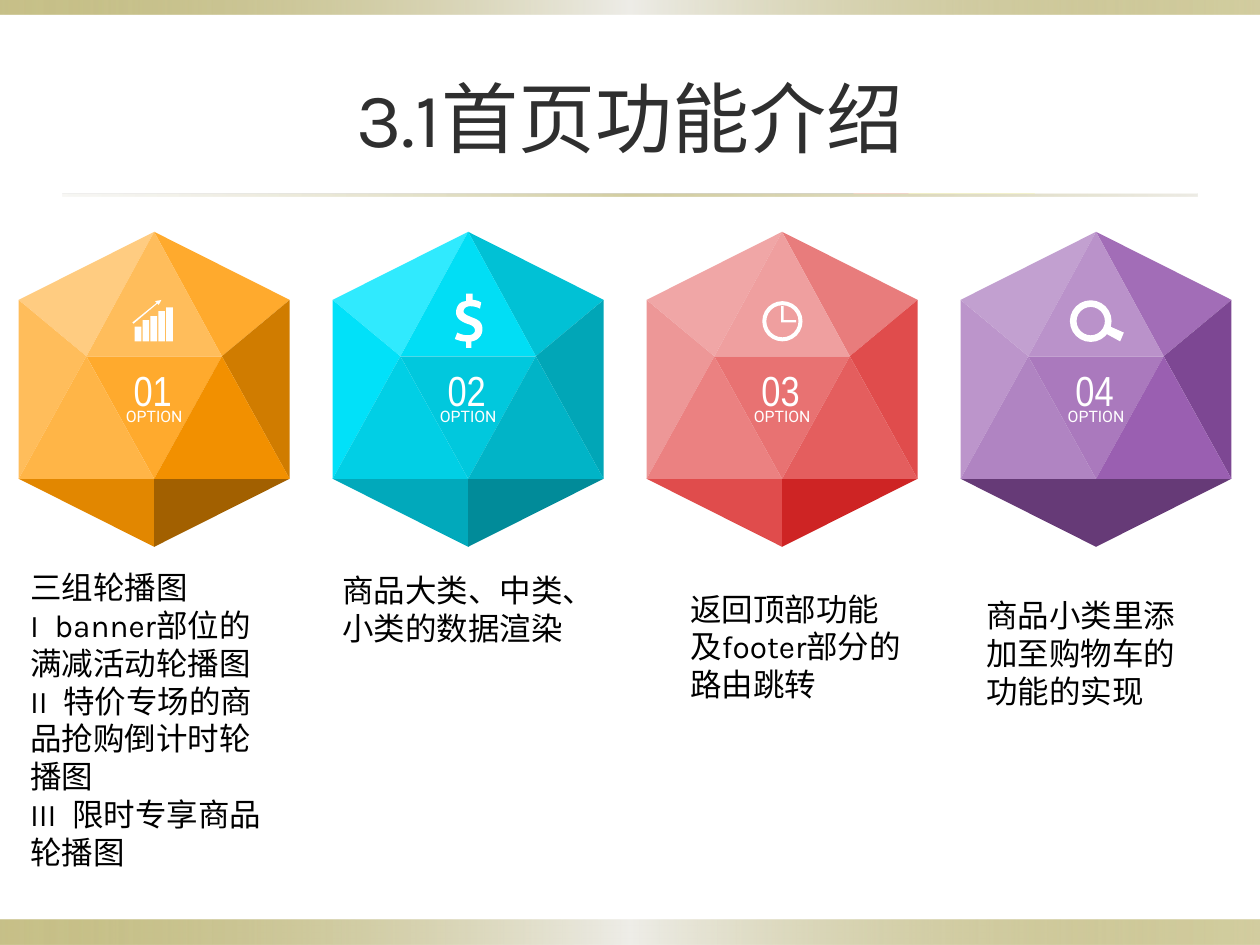
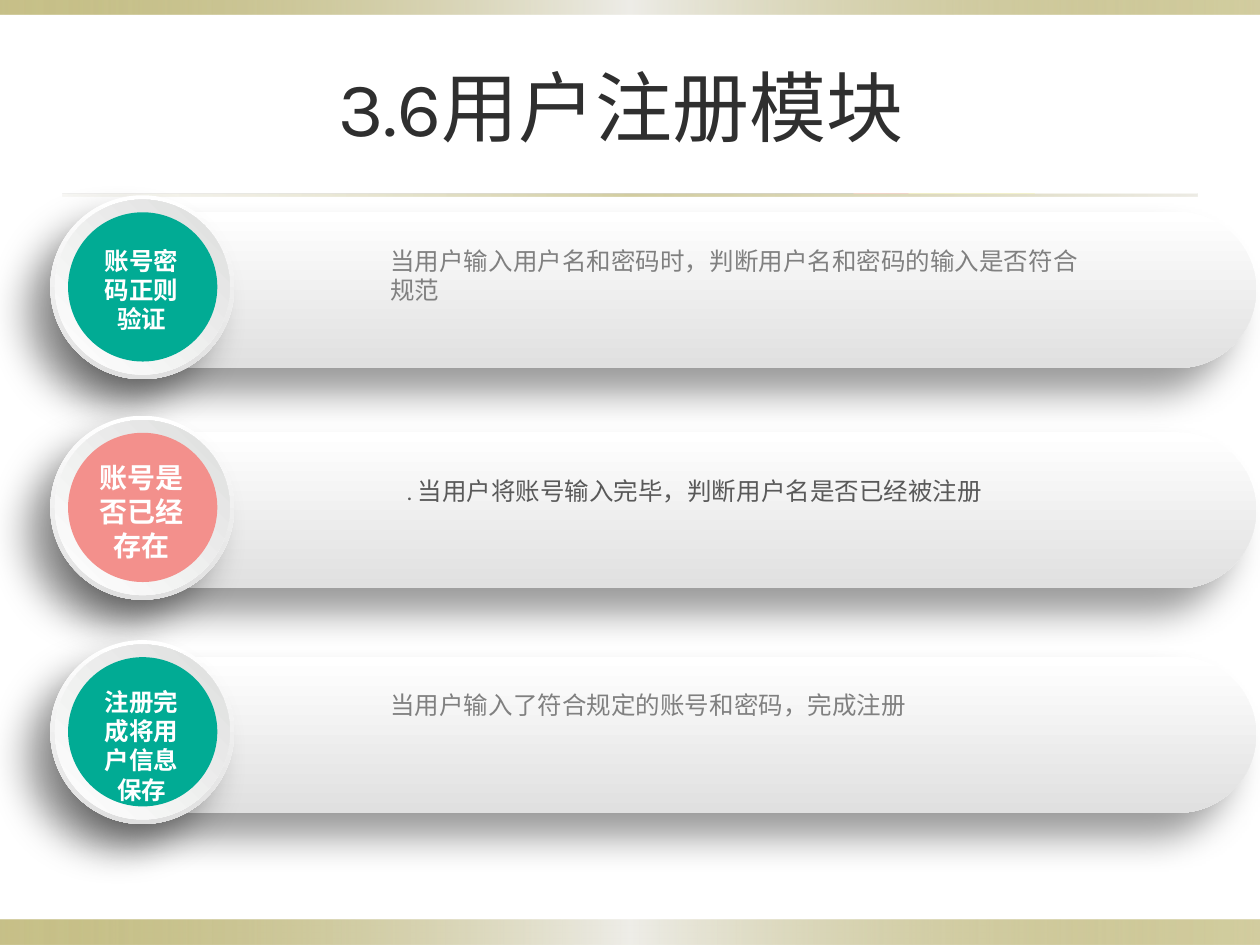
"""Build two slides: home page features and the sign-up module."""
import pptx
import pptx.dml.color
import pptx.enum.shapes
import pptx.enum.text
import pptx.oxml.ns
import pptx.util
from lxml import etree

Pt = pptx.util.Pt
qn = pptx.oxml.ns.qn
Kind = pptx.enum.shapes.MSO_SHAPE
Align = pptx.enum.text.PP_ALIGN
Anchor = pptx.enum.text.MSO_ANCHOR
Fit = pptx.enum.text.MSO_AUTO_SIZE

HUES = {
    "white": "FFFFFF", "black": "000000", "title": "2F2F2F",
    "olive": "918415", "pale": "EEEDE8", "sand": "DCD9CC",
    "silver": "E0E0E0", "steel": "DDDEDD", "grey": "808080",
    "dark": "595959", "teal": "01AB94", "coral": "F3908C",
}
BAND = [(0, "olive", 50), (50, "pale", 100), (100, "olive", 40)]
RULE = [(0, "sand", 20), (50, "olive", 40), (100, "sand", 50)]
SHEEN = [(0, "white", 100), (100, "silver", 100)]
DISC = [(0, "white", 100), (100, "steel", 100)]


def rgb(hue):
    """Turn a colour name or a hex string into a colour."""
    return pptx.dml.color.RGBColor.from_string(HUES.get(hue, hue))


def write(frame, text, size=18, font="Karla", hue="black", bold=False,
          align=Align.LEFT, anchor=Anchor.TOP):
    """Fill a text frame, one paragraph for each line of text."""
    frame.word_wrap = True
    frame.vertical_anchor = anchor
    for i, line in enumerate(text.split("\n")):
        para = frame.add_paragraph() if i else frame.paragraphs[0]
        para.alignment = align
        para.line_spacing = Pt(size * 1.2)
        run = para.add_run()
        run.text = line
        run.font.size = Pt(size)
        run.font.name = font
        run.font.bold = bold
        run.font.color.rgb = rgb(hue)
        east = etree.Element(qn("a:ea"), typeface="Noto Sans CJK SC")
        run.font._element.find(qn("a:latin")).addnext(east)


def bend(start, curve, steps=8):
    """List the points along a cubic curve."""
    x0, y0 = start
    x1, y1, x2, y2, x3, y3 = curve
    spots = []
    for i in range(1, steps + 1):
        t = i / steps
        u = 1 - t
        a, b, c, d = u ** 3, 3 * u * u * t, 3 * u * t * t, t ** 3
        spots.append((a * x0 + b * x1 + c * x2 + d * x3,
                      a * y0 + b * y1 + c * y2 + d * y3))
    return spots


class Deck:
    """Hold the style and the current slide."""

    def __init__(self):
        """Start an empty deck."""
        self.show = pptx.Presentation()
        self.show.slide_width = Pt(720)
        self.show.slide_height = Pt(540)
        self.slide = None

    def page(self, title, x, y):
        """Add a slide with its bands, rule and title."""
        self.slide = self.show.slides.add_slide(self.show.slide_layouts[6])
        self.shape(Kind.RECTANGLE, 0, 525.6, 720, 14.4, BAND, 0)
        self.shape(Kind.RECTANGLE, 0, 0, 720, 8.4, BAND, 0)
        self.shape(Kind.RECTANGLE, 36, 110.9, 648, 1.4, RULE, 0)
        self.text(title, x, y, 648, 90, grow=False, size=44, hue="title",
                  align=Align.CENTER, anchor=Anchor.MIDDLE)

    def paint(self, shape, fill, angle=90):
        """Give a shape a flat colour or a gradient, without a line."""
        shape.shadow.inherit = False
        shape.line.fill.background()
        if isinstance(fill, str):
            shape.fill.solid()
            shape.fill.fore_color.rgb = rgb(fill)
            return
        shape.fill.gradient()
        shape.fill.gradient_angle = (360 - angle) % 360
        stops = shape._element.spPr.find(".//" + qn("a:gsLst"))
        for old in list(stops):
            stops.remove(old)
        for pos, hue, alpha in fill:
            stop = etree.SubElement(stops, qn("a:gs"), pos=str(pos * 1000))
            tint = etree.SubElement(stop, qn("a:srgbClr"), val=HUES[hue])
            etree.SubElement(tint, qn("a:alpha"), val=str(alpha * 1000))

    def shape(self, kind, x, y, w, h, fill, angle=90, adj=None):
        """Add a preset shape."""
        item = self.slide.shapes.add_shape(kind, Pt(x), Pt(y), Pt(w), Pt(h))
        self.paint(item, fill, angle)
        if adj is not None:
            item.adjustments[0] = adj
        return item

    def shade(self, item):
        """Drop a soft shadow to the lower left."""
        box = item._element.spPr.find(qn("a:effectLst"))
        drop = etree.SubElement(
            box, qn("a:outerShdw"), blurRad=str(Pt(22)), dist=str(Pt(20)),
            dir=str(135 * 60000), rotWithShape="0")
        tint = etree.SubElement(drop, qn("a:srgbClr"), val=HUES["black"])
        etree.SubElement(tint, qn("a:alpha"), val="40000")

    def poly(self, spots, fill="white"):
        """Add a closed outline through the given points."""
        fine = [(x * 100, y * 100) for x, y in spots]
        pen = self.slide.shapes.build_freeform(*fine[0], scale=Pt(1) / 100)
        pen.add_line_segments(fine[1:], close=True)
        self.paint(pen.convert_to_shape(), fill)

    def text(self, text, x, y, w, h, grow=True, **form):
        """Add a text box."""
        box = self.slide.shapes.add_textbox(Pt(x), Pt(y), Pt(w), Pt(h))
        write(box.text_frame, text, **form)
        box.text_frame.auto_size = Fit.SHAPE_TO_FIT_TEXT if grow else Fit.NONE

    def gem(self, mid, label, hues):
        """Add a faceted hexagon with its number."""
        half, top, neck, waist, base, foot = 77.4, 132.5, 171.4, 203.6, 273.6, 312.5
        left, right = mid - half, mid + half
        tip, low, end = (mid, top), (mid, base), (mid, foot)
        ls, rs, lb, rb = (left, neck), (right, neck), (left, base), (right, base)
        lm, rm = (mid - half / 2, waist), (mid + half / 2, waist)
        facets = [(lb, low, end), (low, rb, end), (tip, ls, lm), (ls, lm, lb),
                  (tip, rs, rm), (rs, rm, rb), (tip, lm, rm), (lm, rm, low),
                  (lm, lb, low), (rm, rb, low)]
        for spots, hue in zip(facets, hues.split()):
            self.poly(spots, hue)
        self.text(label, mid - 26, 204.5, 50.4, 36, size=24,
                  font="Arial Narrow", hue="white", align=Align.CENTER)
        self.text("OPTION", mid - 25.2, 229, 50.4, 18, size=9,
                  font="Roboto", hue="white", align=Align.CENTER)

    def bars(self):
        """Draw the rising bars icon."""
        for i, h in enumerate([8.4, 12.2, 14.4, 17.3, 19.4]):
            self.shape(Kind.RECTANGLE, 77 + 4.5 * i, 195.1 - h, 3.8, h, "white")
        self.poly([(75.6, 184.3), (90.7, 172.1), (90.7, 172.8), (76.3, 185)])
        self.poly([(88.6, 172.1), (92.2, 171.4), (90.7, 174.2)])

    def coin(self):
        """Draw the dollar icon."""
        track = [
            (6.5, 31), (6.5, 27.4), (4.3, 27.4, 1.4, 26.6, 0, 25.9), (1.4, 22.3),
            (2.9, 23, 5, 23.8, 7.2, 23.8), (9.4, 23.8, 11.5, 23, 11.5, 20.9),
            (11.5, 19.4, 10.1, 18, 7.2, 17.3), (2.9, 15.8, 0.7, 13.7, 0.7, 10.8),
            (0.7, 7.2, 2.9, 4.3, 6.5, 4.3), (6.5, 0), (10.1, 0), (10.1, 3.6),
            (12.2, 3.6, 13.7, 4.3, 15.1, 5), (14.4, 8.6),
            (13, 7.9, 11.5, 7.2, 8.6, 7.2), (6.5, 7.2, 5, 8.6, 5, 10.1),
            (5, 11.5, 6.5, 12.2, 10.1, 13.7), (14.4, 15.1, 15.8, 17.3, 15.8, 20.2),
            (15.8, 23.8, 13.7, 26.6, 9.4, 27.4), (9.4, 31)]
        spots = []
        for part in track:
            spots += [part] if len(part) == 2 else bend(spots[-1], part)
        self.poly([(x + 259.9, y + 167.8) for x, y in spots])

    def clock(self):
        """Draw the clock icon."""
        self.shape(Kind.DONUT, 435.6, 172.1, 23, 23, "white", adj=0.1)
        self.poly([(446.4, 175), (447.8, 175), (447.8, 182.9),
                   (455, 182.9), (455, 184.3), (446.4, 184.3)])

    def lens(self):
        """Draw the search icon."""
        self.shape(Kind.DONUT, 611.4, 171.6, 23.8, 23.8, "white", adj=0.16)
        self.poly([(631.5, 190.4), (640.1, 195.1), (642.2, 190.1), (633.5, 186.2)])

    def step(self, y, hue, name, size, drop):
        """Add a pill with a round badge."""
        self.shade(self.shape(Kind.ROUNDED_RECTANGLE, 51.1, y + 9.4, 666.7, 89.3,
                              SHEEN, adj=0.5))
        self.shade(self.shape(Kind.OVAL, 28.8, y, 105.1, 105.1, SHEEN))
        self.shape(Kind.OVAL, 31.4, y + 2.5, 100, 100, DISC, 315)
        self.shape(Kind.OVAL, 38.9, y + 9.7, 85.3, 85.3, hue)
        self.text(name, 46.4, y + drop, 69.1, size * 3.6 + 7.2, size=size,
                  font="Arial", hue="white", bold=True, align=Align.CENTER)


deck = Deck()
deck.page("3.1首页功能介绍", 36, 21.6)
gems = [
    "E28700 A26000 FFCC81 FFBD5B FFAA2D D07C00 FFBD5B FFAA2D FFB547 F29000",
    "01A9BB 018B99 30EAFE 01E1F9 01C1D5 01A6B7 01DEF5 01C8DD 01CFE5 01B4C7",
    "E04C4C CE2424 F0A6A6 ED9797 E87C7C E04C4C EF9F9F E87272 EB8181 E45E5E",
    "663A77 663A77 C2A0D0 BC95CB A26DB7 7D4793 BA92CA AA79BD B084C2 9A5FB1",
]
for i, hues in enumerate(gems):
    deck.gem(88.1 + 179.4 * i, f"{i + 1:02}", hues)
deck.bars()
deck.coin()
deck.clock()
deck.lens()
notes = [
    ("三组轮播图\nI\u2002banner部位的满减活动轮播图\n"
     "II\u2002特价专场的商品抢购倒计时轮播图\nIII\u2002限时专享商品轮播图",
     10.1, 321.1, 154.8, 181.4),
    ("商品大类、中类、小类的数据渲染", 188.6, 322.6, 154.8, 51.1),
    ("返回顶部功能及footer部分的路由跳转", 387.4, 333.4, 135.4, 72.7),
    ("商品小类里添加至购物车的功能的实现", 556.6, 337, 135.4, 72.7),
]
for note in notes:
    deck.text(*note)

deck.page("3.6用户注册模块", 31, 15.1)
steps = [(111.6, "teal", "账号密码正则验证", 14, 25.2),
         (237.6, "coral", "账号是否已经存在", 16, 22.3),
         (365.8, "teal", "注册完成将用户信息保存", 14, 23)]
for step in steps:
    deck.step(*step)
plain = {"size": 14, "font": "Noto Sans CJK SC", "hue": "grey"}
deck.text("当用户输入用户名和密码时，判断用户名和密码的输入是否符合规范",
          216, 136.8, 414, 41, **plain)
deck.text(". 当用户将账号输入完毕，判断用户名是否已经被注册",
          190.1, 268.6, 414, 24.5, size=14, hue="dark", align=Align.CENTER)
deck.text("当用户输入了符合规定的账号和密码，完成注册", 216, 391, 414, 24.5, **plain)
deck.show.save("out.pptx")
